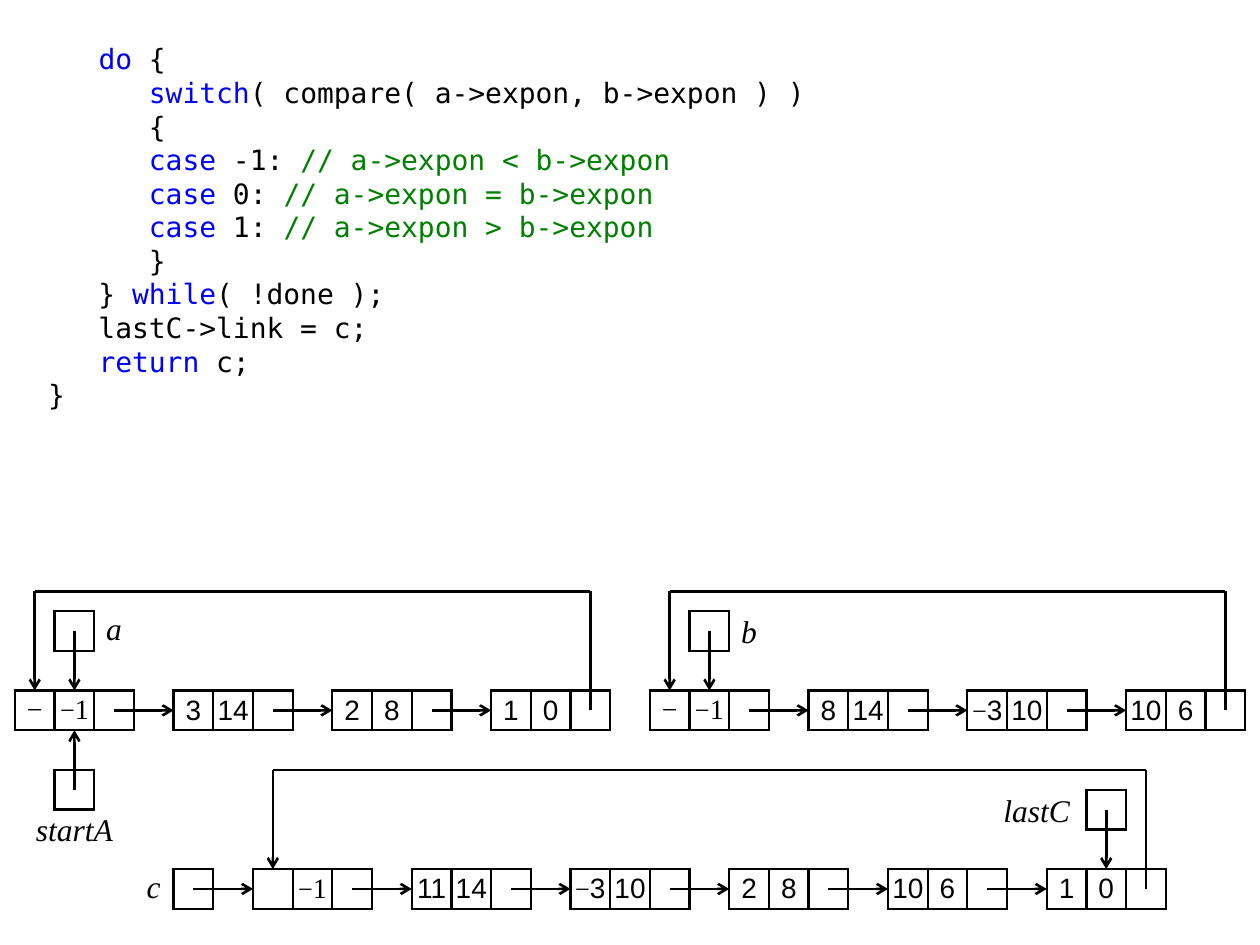
from dataclasses import dataclass

from lxml import etree
from pptx import Presentation
from pptx import util as u
from pptx.dml.color import RGBColor
from pptx.enum import shapes, text
from pptx.oxml.ns import qn


@dataclass(frozen=True)
class Theme:
    ink: str = "000000"
    keyword: str = "0000FF"
    comment: str = "008000"
    mono: str = "DejaVu Sans Mono"
    sans: str = "Arial"
    serif: str = "Times New Roman"
    body: int = 16
    minus: int = 15
    label: int = 18
    leading: float = 19.2
    line: float = 1.5


T = Theme()
PX = 7200  # EMU per px, 127 px to the inch
CELL = 40
HALF = CELL // 2
NODE = 3 * CELL
STEP = 4 * CELL


def write(p, txt, font=T.sans, size=T.body, color=T.ink, italic=False):
    r = p.add_run()
    r.text = txt
    r.font.name = font
    r.font.size = u.Pt(size)
    r.font.italic = italic
    r.font.color.rgb = RGBColor.from_string(color)


prs = Presentation()
prs.slide_width, prs.slide_height = u.Inches(10), u.Inches(7.5)
s = prs.slides.add_slide(prs.slide_layouts[6])

# Code listing
K, C = T.keyword, T.comment
code = [
    [("   ",), ("do", K), (" {",)],
    [("      ",), ("switch", K), ("( compare( a->expon, b->expon ) )",)],
    [("      {",)],
    [("      ",), ("case", K), (" -1: ",), ("// a->expon < b->expon", C)],
    [("      ",), ("case", K), (" 0: ",), ("// a->expon = b->expon", C)],
    [("      ",), ("case", K), (" 1: ",), ("// a->expon > b->expon", C)],
    [("      }",)],
    [("   } ",), ("while", K), ("( !done );",)],
    [("   lastC->link = c;",)],
    [("   ",), ("return", K), (" c;",)],
    [("}",)],
]
tf = s.shapes.add_textbox(36 * PX, 36 * PX, 960 * PX, 460 * PX).text_frame
tf.word_wrap = True
for i, parts in enumerate(code):
    p = tf.add_paragraph() if i else tf.paragraphs[0]
    p.line_spacing = u.Pt(T.leading)
    for txt, *color in parts:
        write(p, txt, font=T.mono, color=color[0] if color else T.ink)

# Linked lists: None is the open gap between two nodes
AB_Y, C_Y = 696, 876
A_X, B_X, C_X = 15, 655, 255
a_row = ["−", "−1", "", None, "3", "14", "", None, "2", "8", "", None, "1", "0", ""]
b_row = ["−", "−1", "", None, "8", "14", "", None, "−3", "10", "", None, "10", "6", ""]
c_nodes = [["", "−1", ""], ["11", "14", ""], ["−3", "10", ""],
           ["2", "8", ""], ["10", "6", ""], ["1", "0", ""]]
tables = [(A_X, AB_Y, a_row), (B_X, AB_Y, b_row)]
tables += [(C_X + i * STEP, C_Y, node) for i, node in enumerate(c_nodes)]
pointer_boxes = [(55, 616), (695, 616), (55, 776), (175, C_Y), (1095, 796)]
tables += [(x, y, [""]) for x, y in pointer_boxes]

for x, y, row in tables:
    table = s.shapes.add_table(1, len(row), x * PX, y * PX,
                               len(row) * CELL * PX, CELL * PX).table
    table.first_row = table.horz_banding = False
    table.rows[0].height = CELL * PX
    for i, value in enumerate(row):
        table.columns[i].width = CELL * PX
        cell = table.cell(0, i)
        cell.margin_left = cell.margin_right = 0
        cell.margin_top = cell.margin_bottom = 0
        cell.vertical_anchor = text.MSO_ANCHOR.MIDDLE
        cell.fill.background()
        tcPr = cell._tc.get_or_add_tcPr()
        for n, side in enumerate(("lnL", "lnR", "lnT", "lnB")):
            ln = etree.Element(qn("a:" + side), w=str(u.Pt(T.line)))
            if value is None and n > 1:
                etree.SubElement(ln, qn("a:noFill"))
            else:
                fill = etree.SubElement(ln, qn("a:solidFill"))
                etree.SubElement(fill, qn("a:srgbClr"), val=T.ink)
            tcPr.insert(n, ln)
        p = cell.text_frame.paragraphs[0]
        p.alignment = text.PP_ALIGN.CENTER
        if not value:
            continue
        header = value in ("−", "−1")
        digits = value.lstrip("−")
        if digits != value:
            write(p, "−", font=T.serif, size=T.minus if digits else T.body)
        if digits:
            write(p, digits, font=T.serif if header else T.sans)

# Pointer names
labels = [("a", 95, 616, 40, 6), ("b", 735, 616, 40, 0), ("c", 135, C_Y, 40, 6),
          ("lastC", 995, 796, 100, 0), ("startA", 15, 816, 120, 0)]
for txt, x, y, w, bottom in labels:
    tf = s.shapes.add_textbox(x * PX, y * PX, w * PX, CELL * PX).text_frame
    tf.margin_left = tf.margin_right = tf.margin_top = 0
    tf.margin_bottom = bottom * PX
    tf.word_wrap = True
    tf.vertical_anchor = text.MSO_ANCHOR.MIDDLE
    p = tf.paragraphs[0]
    p.alignment = text.PP_ALIGN.CENTER
    write(p, txt, font=T.serif, size=T.label, italic=True)

# Links as (x1, y1, x2, y2, has arrowhead)
links = [(75, 636, 75, AB_Y, True), (715, 636, 715, AB_Y, True),
         (75, 796, 75, AB_Y + CELL, True), (1115, 816, 1115, C_Y, True),
         (195, C_Y + HALF, C_X, C_Y + HALF, True)]
for x, y, count, top in [(A_X, AB_Y, 4, 596), (B_X, AB_Y, 4, 596), (C_X, C_Y, 6, 776)]:
    mid = y + HALF
    for i in range(count - 1):
        left = x + i * STEP
        links.append((left + NODE - HALF, mid, left + STEP, mid, True))
    first, last = x + HALF, x + (count - 1) * STEP + NODE - HALF
    links += [(last, mid, last, top, False), (last, top, first, top, False),
              (first, top, first, y, True)]

for x1, y1, x2, y2, arrow in links:
    sp = s.shapes.add_connector(shapes.MSO_CONNECTOR.STRAIGHT,
                                x1 * PX, y1 * PX, x2 * PX, y2 * PX)
    sp.line.width = u.Pt(T.line)
    sp.line.color.rgb = RGBColor.from_string(T.ink)
    if arrow:
        etree.SubElement(sp.line._get_or_add_ln(), qn("a:tailEnd"), type="arrow")
    etree.SubElement(sp._element.spPr, qn("a:effectLst"))

prs.save("out.pptx")
